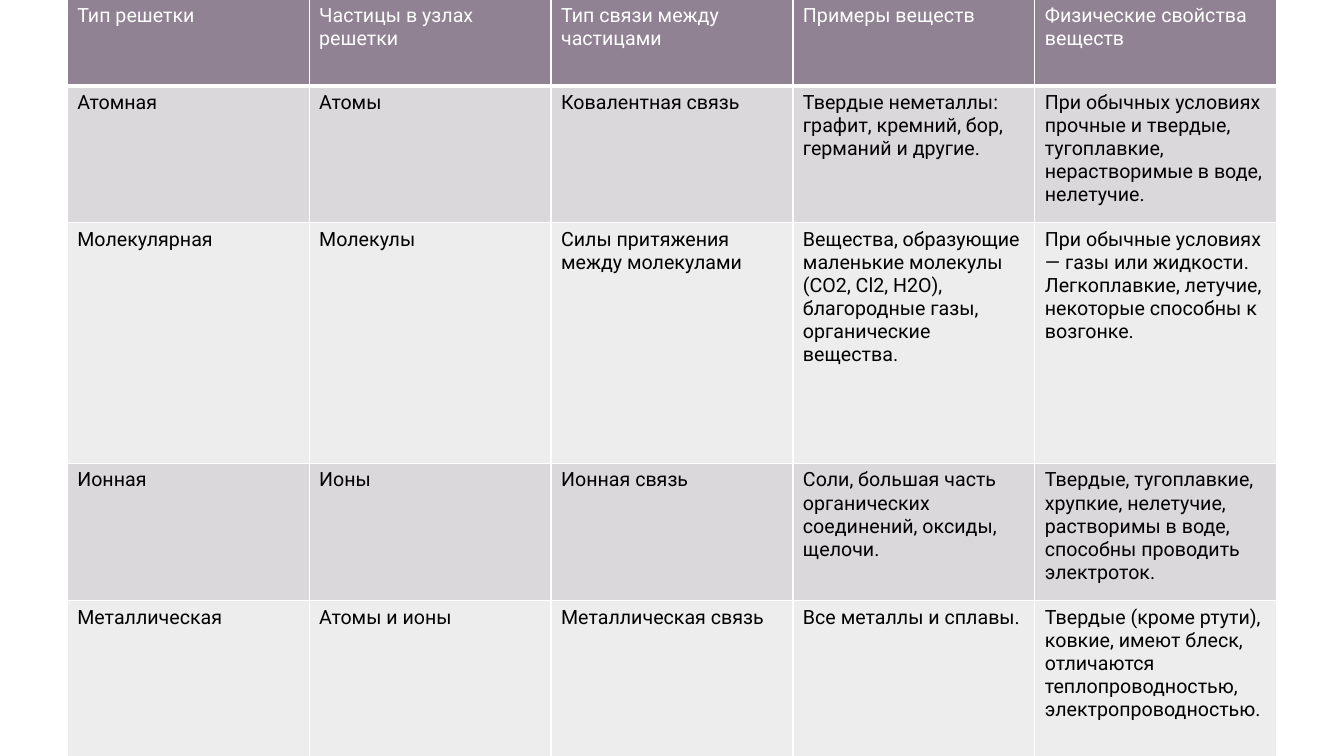
from dataclasses import dataclass

from lxml import etree
from pptx import Presentation
from pptx.dml.color import RGBColor
from pptx.enum.shapes import MSO_SHAPE
from pptx.oxml.ns import qn
from pptx.util import Inches, Pt

RECT = MSO_SHAPE.RECTANGLE
WIDE, HIGH = 13.33, 7.5


@dataclass(frozen=True)
class Theme:
    font: str = "Roboto"
    size: int = 14
    paper: str = "FFFFFF"
    ink: str = "000000"
    head: str = "908193"
    bands: tuple = ("DBD8DC", "EEEDEE")
    thin: int = 1
    thick: int = 3


THEME = Theme()

# Row height in inches, then the texts of the row
ROWS = [
    (0.86, ["Тип решетки", "Частицы в узлах решетки",
            "Тип связи между частицами", "Примеры веществ",
            "Физические свойства веществ"]),
    (1.36, ["Атомная", "Атомы", "Ковалентная связь",
            "Твердые неметаллы: графит, кремний, бор, германий и другие.",
            "При обычных условиях прочные и твердые, тугоплавкие, "
            "нерастворимые в воде, нелетучие."]),
    (2.39, ["Молекулярная", "Молекулы", "Силы притяжения между молекулами",
            "Вещества, образующие маленькие молекулы (CO2, Cl2, H2O), "
            "благородные газы, органические вещества.",
            "При обычные условиях — газы или жидкости. Легкоплавкие, "
            "летучие, некоторые способны к возгонке."]),
    (1.36, ["Ионная", "Ионы", "Ионная связь",
            "Соли, большая часть органических соединений, оксиды, щелочи.",
            "Твердые, тугоплавкие, хрупкие, нелетучие, растворимы в воде, "
            "способны проводить электроток."]),
    (1.55, ["Металлическая", "Атомы и ионы", "Металлическая связь",
            "Все металлы и сплавы.",
            "Твердые (кроме ртути), ковкие, имеют блеск, отличаются "
            "теплопроводностью, электропроводностью."]),
]


def rgb(code):
    return RGBColor.from_string(code)


def edge(cell, side, width):
    """Draw one border of a cell; side is L, R, T or B."""
    props = cell._tc.get_or_add_tcPr()
    line = etree.SubElement(props, qn(f"a:ln{side}"), w=str(Pt(width)))
    fill = etree.SubElement(line, qn("a:solidFill"))
    etree.SubElement(fill, qn("a:srgbClr"), val=THEME.paper)


def style(cell, text, row):
    cell.text = text
    font = cell.text_frame.paragraphs[0].font
    font.name, font.size, font.bold = THEME.font, Pt(THEME.size), False
    font.color.rgb = rgb(THEME.ink if row else THEME.paper)
    for side in "LRTB":
        heavy = (row, side) in ((0, "B"), (1, "T"))
        edge(cell, side, THEME.thick if heavy else THEME.thin)
    cell.fill.solid()
    cell.fill.fore_color.rgb = rgb(
        THEME.bands[(row - 1) % 2] if row else THEME.head)


def backdrop(slide, box):
    shape = slide.shapes.add_shape(RECT, *map(Inches, box))
    shape.shadow.inherit = False
    shape.fill.solid()
    shape.fill.fore_color.rgb = rgb(THEME.paper)
    shape.line.fill.background()


def grid(slide, box, rows):
    count = len(rows[0][1])
    table = slide.shapes.add_table(
        len(rows), count, *map(Inches, box)).table
    for col in table.columns:
        col.width = Inches(box[2] / count)
    total = sum(height for height, _ in rows)
    for i, (height, texts) in enumerate(rows):
        table.rows[i].height = Inches(box[3] * height / total)
        for j, text in enumerate(texts):
            style(table.cell(i, j), text, i)


def main():
    deck = Presentation()
    deck.slide_width, deck.slide_height = Inches(WIDE), Inches(HIGH)
    slide = deck.slides.add_slide(deck.slide_layouts[6])
    backdrop(slide, (0, 0, WIDE, HIGH))
    width = WIDE * 0.9
    grid(slide, ((WIDE - width) / 2, -0.01, width, HIGH + 0.02), ROWS)
    deck.save("out.pptx")


if __name__ == "__main__":
    main()
